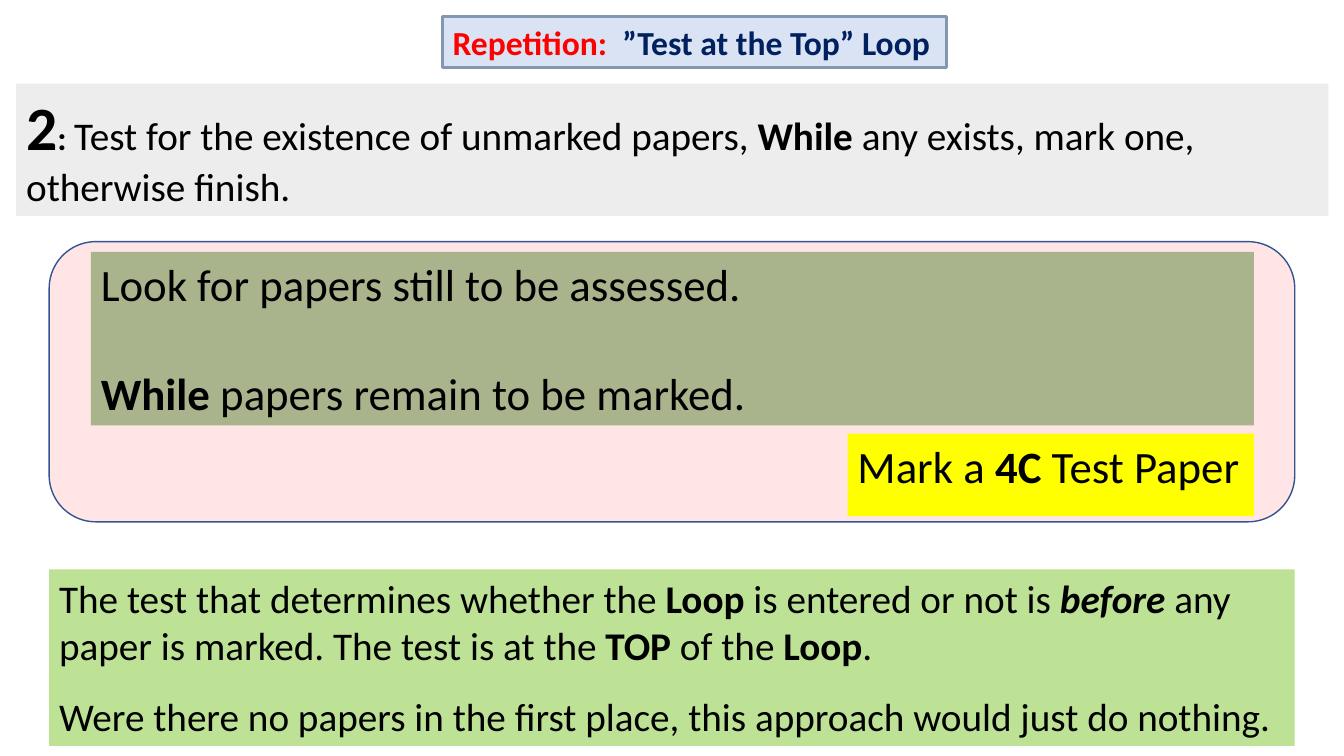
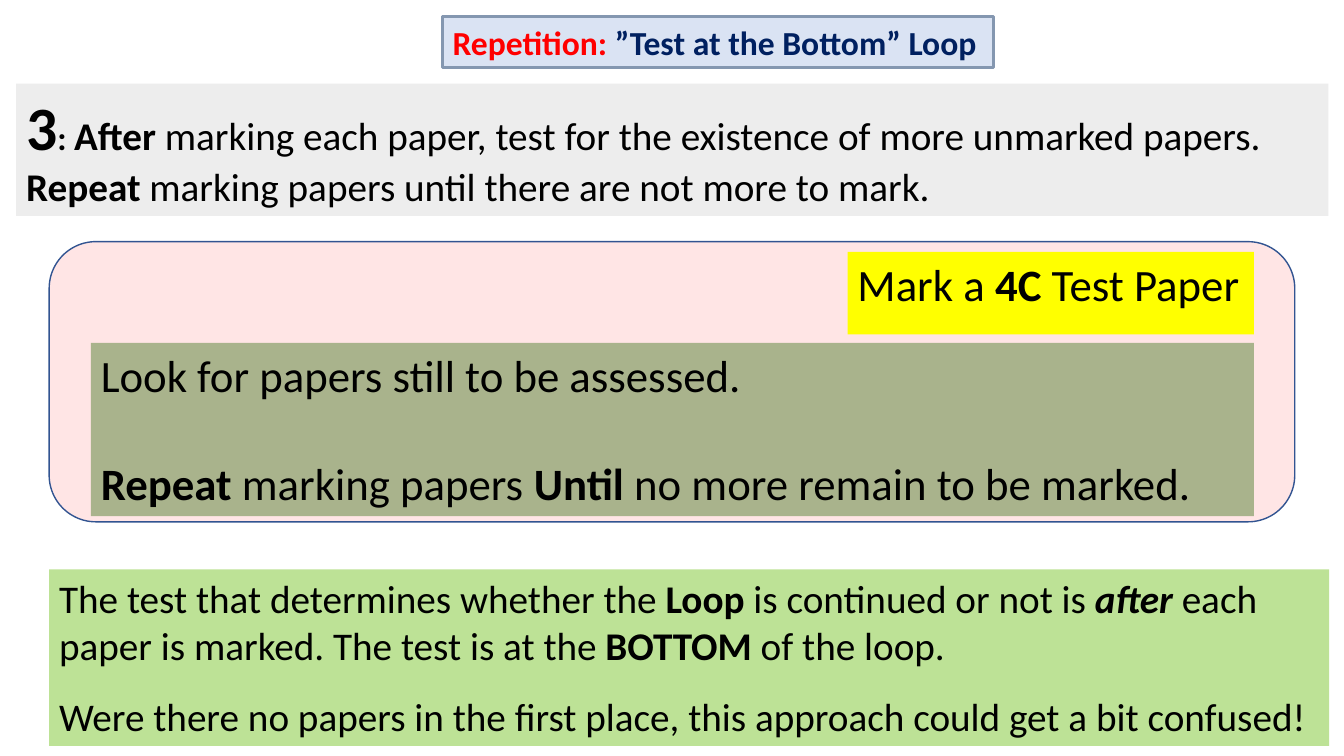
from dataclasses import dataclass

from lxml import etree
from pptx import Presentation
from pptx.dml.color import RGBColor
from pptx.enum.shapes import MSO_SHAPE
from pptx.enum.text import MSO_ANCHOR, MSO_AUTO_SIZE, PP_ALIGN
from pptx.oxml.ns import qn
from pptx.util import Cm, Pt

RECT, ROUNDED = MSO_SHAPE.RECTANGLE, MSO_SHAPE.ROUNDED_RECTANGLE
TOP, LEFT, NO_FIT = MSO_ANCHOR.TOP, PP_ALIGN.LEFT, MSO_AUTO_SIZE.NONE
TITLE_ONLY = 5


@dataclass(frozen=True)
class Theme:
    font: str = "Calibri"
    text: str = "000000"
    accent: str = "FF0000"
    navy: str = "002060"
    # fill: colour, opacity in percent
    title_fill: tuple = ("DAE3F3", 100)
    statement_fill: tuple = ("EDEDED", 100)
    loop_fill: tuple = ("FF0000", 10)
    test_fill: tuple = ("548235", 50)
    action_fill: tuple = ("FFFF00", 100)
    conclusion_fill: tuple = ("92D050", 60)
    # line: colour, width in points
    title_line: tuple = ("8497B0", 2.25)
    loop_line: tuple = ("325491", 1)
    title_size: int = 24
    statement_size: int = 28
    step_size: int = 44
    loop_size: int = 32
    test_gap: int = 39
    conclusion_gap: int = 17


THEME = Theme()

BOLD = {"bold": True}
STRESS = {"bold": True, "italic": True}
STEP = {"bold": True, "size": THEME.step_size}
COLON = {"bold": True, "size": THEME.title_size}
LABEL = {"bold": True, "color": THEME.accent}
NAME = {"bold": True, "color": THEME.navy}

LOOP_BOX = (1.24, 6.09, 31.39, 7.06)
STACK_TOP, STACK_GAP, STACK_RIGHT = 6.35, 0.21, 31.6
TEST_W, TEST_H = 29.31, 4.37
ACTION_W, ACTION_H = 10.24, 2.08

ACTION = [["Mark a ", ("4C", BOLD), " Test Paper"]]
LOOK = ["Look for papers still to be assessed."]

SLIDES = [
    {
        "title": [("Repetition:  ", LABEL), ("”Test at the Top” Loop", NAME)],
        "title_w": 12.7,
        "statement": [
            ("2", STEP), (": ", COLON),
            "Test for the existence of unmarked papers, ", ("While", BOLD),
            " any exists, mark one, otherwise finish.",
        ],
        "test": [("While ", BOLD), "papers remain to be marked."],
        "test_first": True,
        "conclusion": [
            ["The test that determines whether the ", ("Loop ", BOLD),
             "is entered or not is ", ("before", STRESS),
             " any paper is marked. The test is at the ", ("TOP", BOLD),
             " of the ", ("Loop", BOLD), "."],
            ["Were there no papers in the first place, this approach would "
             "just do nothing."],
        ],
        "conclusion_w": 31.39,
    },
    {
        "title": [("Repetition: ", LABEL), ("”Test at the Bottom” Loop", NAME)],
        "title_w": 13.89,
        "statement": [
            ("3", STEP), (": ", COLON), ("After ", BOLD),
            "marking each paper, test for the existence of more unmarked papers. ",
            ("Repeat", BOLD), " marking papers until there are not more to mark.",
        ],
        "test": [("Repeat ", BOLD), "marking papers ", ("Until", BOLD),
                 " no more remain to be marked."],
        "test_first": False,
        "conclusion": [
            ["The test that determines whether the ", ("Loop ", BOLD),
             "is continued or not is ", ("after", STRESS),
             " each paper is marked. The test is at the ", ("BOTTOM", BOLD),
             " of the loop."],
            ["Were there no papers in the first place, this approach could "
             "get a bit confused!"],
        ],
        "conclusion_w": 32.26,
    },
]


def paint(sp, fill, line=None):
    color, opacity = fill
    sp.fill.solid()
    sp.fill.fore_color.rgb = RGBColor.from_string(color)
    if opacity < 100:
        clr = sp._element.spPr.find(qn("a:solidFill")).find(qn("a:srgbClr"))
        etree.SubElement(clr, qn("a:alpha"), val=str(opacity * 1000))
    if line:
        sp.line.color.rgb = RGBColor.from_string(line[0])
        sp.line.width = Pt(line[1])
    else:
        sp.line.fill.background()


def add_run(p, item, size):
    """Add a plain string, or a (text, format) pair, as one run."""
    text, changes = (item, {}) if isinstance(item, str) else item
    fmt = {"size": size, "color": THEME.text, "name": THEME.font,
           "bold": False, "italic": False, **changes}
    r = p.add_run()
    r.text = text
    r.font.color.rgb = RGBColor.from_string(fmt.pop("color"))
    fmt["size"] = Pt(fmt["size"])
    for key, value in fmt.items():
        setattr(r.font, key, value)


def write(sp, paragraphs, size, wrap=True, gap=0):
    tf = sp.text_frame
    frame = {"word_wrap": wrap, "auto_size": NO_FIT, "vertical_anchor": TOP}
    for key, value in frame.items():
        setattr(tf, key, value)
    for i, items in enumerate(paragraphs):
        p = tf.add_paragraph() if i else tf.paragraphs[0]
        p.alignment = LEFT
        if i:
            p.space_before = Pt(gap)
        for item in items:
            add_run(p, item, size)


def add_box(shapes, box, fill, line=None, kind=RECT):
    sp = shapes.add_shape(kind, *map(Cm, box))
    sp.shadow.inherit = False
    paint(sp, fill, line)
    return sp


def set_title(s, items, width):
    sp = s.shapes.title
    sp.left, sp.top, sp.width, sp.height = map(Cm, (11.15, 0.42, width, 1.28))
    paint(sp, THEME.title_fill, THEME.title_line)
    write(sp, [items], THEME.title_size, wrap=False)


def add_loop(s, test, test_first):
    """Stack the test and the action, in running order, in the loop frame."""
    shapes = s.shapes.add_group_shape().shapes
    add_box(shapes, LOOP_BOX, THEME.loop_fill, THEME.loop_line, ROUNDED)
    test_top = STACK_TOP if test_first else STACK_TOP + ACTION_H + STACK_GAP
    action_top = STACK_TOP + TEST_H + STACK_GAP if test_first else STACK_TOP
    sp = add_box(shapes, (STACK_RIGHT - TEST_W, test_top, TEST_W, TEST_H),
                 THEME.test_fill)
    write(sp, [LOOK, test], THEME.loop_size, gap=THEME.test_gap)
    sp = add_box(shapes, (STACK_RIGHT - ACTION_W, action_top, ACTION_W, ACTION_H),
                 THEME.action_fill)
    write(sp, ACTION, THEME.loop_size, wrap=False)


def add_slide(prs, content):
    s = prs.slides.add_slide(prs.slide_layouts[TITLE_ONLY])
    set_title(s, content["title"], content["title_w"])
    sp = add_box(s.shapes, (0.41, 2.11, 33.07, 3.33), THEME.statement_fill)
    write(sp, [content["statement"]], THEME.statement_size)
    add_loop(s, content["test"], content["test_first"])
    sp = add_box(s.shapes, (1.24, 14.35, content["conclusion_w"], 4.45),
                 THEME.conclusion_fill)
    write(sp, content["conclusion"], THEME.statement_size,
          gap=THEME.conclusion_gap)


def main():
    prs = Presentation()
    prs.slide_width, prs.slide_height = Cm(33.87), Cm(19.05)
    for content in SLIDES:
        add_slide(prs, content)
    prs.save("out.pptx")


if __name__ == "__main__":
    main()
